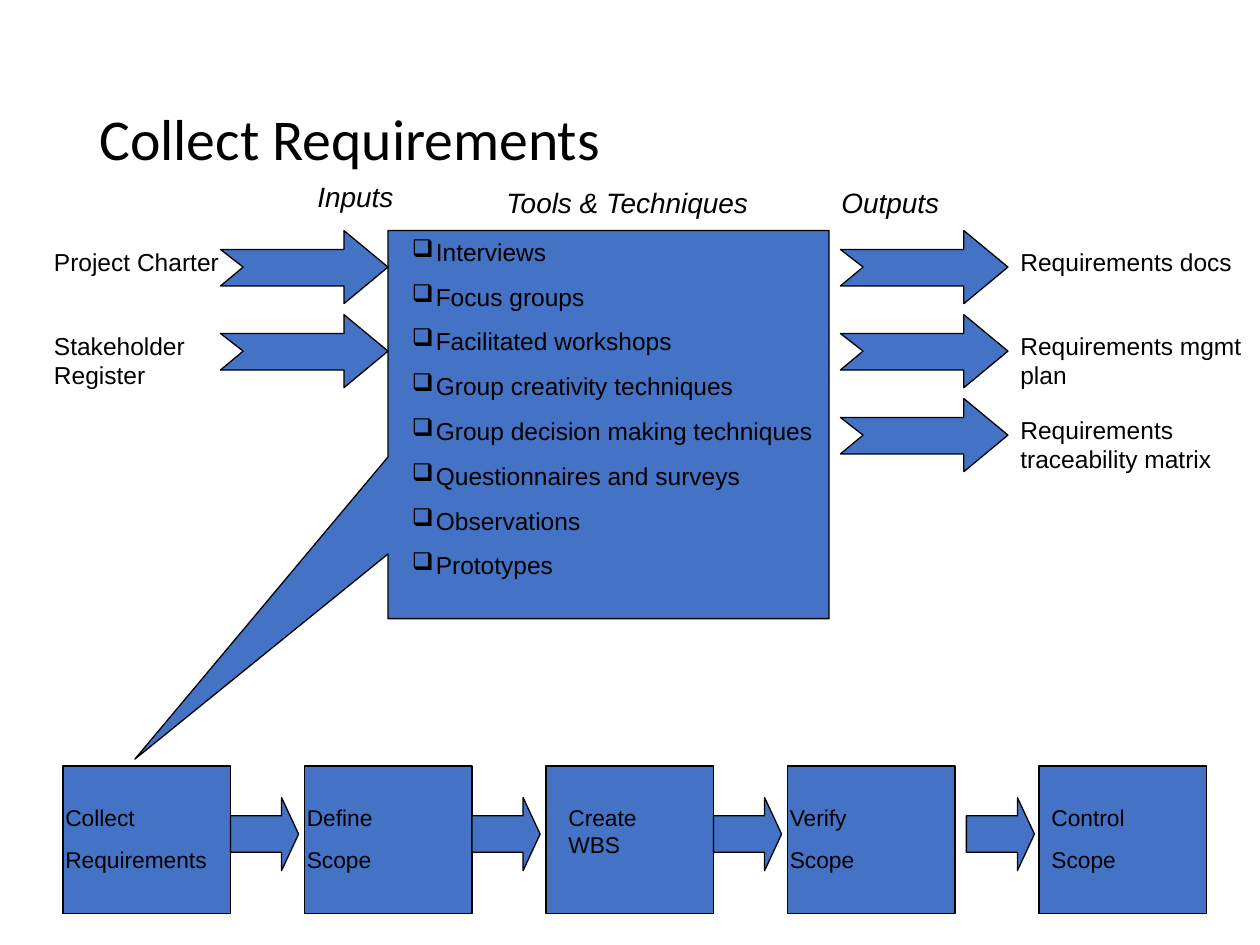
from dataclasses import dataclass

from lxml.etree import SubElement
from pptx import Presentation
from pptx.dml.color import RGBColor
from pptx.enum.shapes import MSO_SHAPE as Shape
from pptx.enum.text import MSO_ANCHOR as Anchor, MSO_AUTO_SIZE as Fit
from pptx.oxml.ns import qn
from pptx.util import Inches, Pt


@dataclass(frozen=True)
class Theme:
    fill: RGBColor = RGBColor(0x44, 0x72, 0xC4)
    ink: RGBColor = RGBColor(0, 0, 0)
    line: float = 0.75
    head: str = "Calibri"
    body: str = "Arial"
    title: int = 33
    label: int = 16
    item: int = 14
    step: int = 13


THEME = Theme()


def paint(shape):
    shape.shadow.inherit = False
    shape.fill.solid()
    shape.fill.fore_color.rgb = THEME.fill
    shape.line.color.rgb = THEME.ink
    shape.line.width = Pt(THEME.line)
    return shape


def block(shapes, kind, x, y, w, h):
    return paint(shapes.add_shape(
        kind, Inches(x), Inches(y), Inches(w), Inches(h)))


def write(shapes, x, y, w, h, lines, size, gap=0, font=THEME.body,
          italic=None):
    box = shapes.add_textbox(Inches(x), Inches(y), Inches(w), Inches(h))
    frame = box.text_frame
    frame.word_wrap = True
    frame.auto_size = Fit.SHAPE_TO_FIT_TEXT
    for n, line in enumerate(lines):
        para = frame.add_paragraph() if n else frame.paragraphs[0]
        para.space_before = Pt(gap)
        run = para.add_run()
        run.text = line
        run.font.size = Pt(size)
        run.font.name = font
        run.font.italic = italic
        run.font.color.rgb = THEME.ink
    return frame


def bullet(para, indent):
    props = para._p.get_or_add_pPr()
    props.set("marL", str(Inches(indent)))
    props.set("indent", str(-Inches(indent)))
    color = SubElement(props, qn("a:buClr"))
    SubElement(color, qn("a:srgbClr")).set("val", str(THEME.ink))
    SubElement(props, qn("a:buChar")).set("char", "❑")


def notched(shapes, x, y):
    """Arrow with a notched tail, 1.33 by 0.58 inches."""
    points = [(0, 0.15), (0.98, 0.15), (0.98, 0), (1.33, 0.29),
              (0.98, 0.58), (0.98, 0.44), (0, 0.44), (0.18, 0.29)]
    spots = [(Inches(x + dx), Inches(y + dy)) for dx, dy in points]
    build = shapes.build_freeform(*spots[0])
    build.add_line_segments(spots[1:], close=True)
    paint(build.convert_to_shape())


def add_title(shapes, x, y, w, h):
    frame = write(shapes, x, y, w, h, ["Collect Requirements"],
                  THEME.title, font=THEME.head)
    frame.auto_size = Fit.NONE
    frame.vertical_anchor = Anchor.MIDDLE
    frame.paragraphs[0].line_spacing = 0.9


def add_heads(shapes, x, y):
    heads = [("Inputs", 0, 0, 1.58), ("Tools & Techniques", 1.5, 0.04, 2.67),
             ("Outputs", 4.16, 0.04, 1.58)]
    for text, dx, dy, w in heads:
        write(shapes, x + dx, y + dy, w, 0.37, [text], THEME.label,
              gap=10, italic=True)


def add_tools(shapes, x, y, w, h):
    call = block(shapes, Shape.RECTANGULAR_CALLOUT, x, y, w, h)
    call.adjustments[0] = -1.074
    call.adjustments[1] = 0.862
    tools = ["Interviews", "Focus groups", "Facilitated workshops",
             "Group creativity techniques",
             "Group decision making techniques",
             "Questionnaires and surveys", "Observations", "Prototypes"]
    frame = write(shapes, x + 0.09, y, w - 0.08, h + 0.1, tools,
                  THEME.item, gap=8.8)
    for para in frame.paragraphs:
        bullet(para, 0.19)


def add_flows(shapes, y, arrow, text, flows):
    """Rows of one arrow and one label; arrow and text are left edges."""
    for n, (label, w, h) in enumerate(flows):
        top = y + n * 2 / 3
        notched(shapes, arrow, top)
        write(shapes, text, top + 0.08, w, h, [label], THEME.item, gap=8.8)


def add_steps(shapes, x, y):
    group = shapes.add_group_shape().shapes
    wide, tall, pitch = 1.33, 1.17, 23 / 12
    # Lines, box offset, text offset, text width, arrow offset
    steps = [(["Collect", "Requirements"], 0, -0.08, 1.42, wide),
             (["Define", "Scope"], 0, -0.08, 1.42, wide),
             (["Create WBS"], 0, 0.08, 1.17, wide),
             (["Verify", "Scope"], 0, -0.08, 1.42, 1.42),
             (["Control", "Scope"], 0.08, 0, wide, None)]
    for n, (lines, shift, dx, w, tail) in enumerate(steps):
        left = x + n * pitch + shift
        block(group, Shape.RECTANGLE, left, y, wide, tall)
        if tail:
            arrow = block(group, Shape.RIGHT_ARROW, left + tail, y + 0.25,
                          0.54, 0.58)
            arrow.adjustments[0] = 0.5
            arrow.adjustments[1] = 0.25
        write(group, left + dx, y + 0.25, w, 0.65, lines, THEME.step, gap=8.1)


def main():
    deck = Presentation()
    deck.slide_width, deck.slide_height = Inches(10), Inches(7.5)
    shapes = deck.slides.add_slide(deck.slide_layouts[6]).shapes

    # Title and column heads
    add_title(shapes, 0.69, 0.4, 8.63, 1.45)
    add_heads(shapes, 2.42, 1.38)

    # Inputs, tools and outputs
    add_tools(shapes, 3.08, 1.83, 3.5, 3.08)
    add_flows(shapes, 1.83, 1.75, 0.33, [
        ("Project Charter", 1.67, 0.34),
        ("Stakeholder Register", 1.83, 0.57)])
    add_flows(shapes, 1.83, 6.67, 8, [
        ("Requirements docs", 2, 0.34),
        ("Requirements mgmt plan", 2, 0.57),
        ("Requirements traceability matrix", 2, 0.57)])

    # Process chain
    add_steps(shapes, 0.5, 6.08)
    deck.save("out.pptx")


if __name__ == "__main__":
    main()
